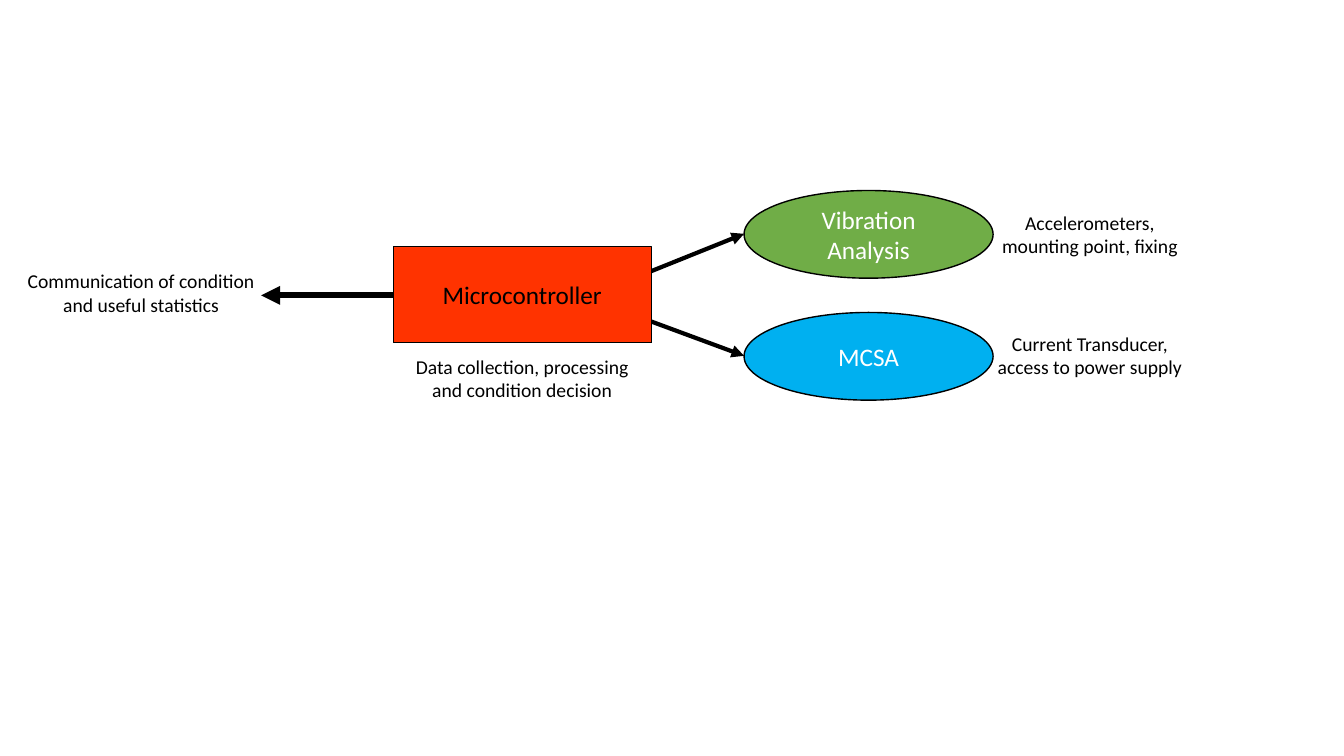
from dataclasses import dataclass

from lxml import etree
from pptx import Presentation
from pptx.dml.color import RGBColor
from pptx.enum.shapes import MSO_CONNECTOR, MSO_SHAPE
from pptx.enum.text import MSO_ANCHOR, MSO_AUTO_SIZE, PP_ALIGN
from pptx.oxml.ns import qn
from pptx.slide import Slide
from pptx.text.text import TextFrame
from pptx.util import Inches, Pt

BLACK = RGBColor(0x00, 0x00, 0x00)
WHITE = RGBColor(0xFF, 0xFF, 0xFF)
RED = RGBColor(0xFF, 0x33, 0x00)
GREEN = RGBColor(0x70, 0xAD, 0x47)
BLUE = RGBColor(0x00, 0xB0, 0xF0)

STRAIGHT = MSO_CONNECTOR.STRAIGHT
CUBE, OVAL = MSO_SHAPE.CUBE, MSO_SHAPE.OVAL
CENTER = PP_ALIGN.CENTER
TOP, MIDDLE = MSO_ANCHOR.TOP, MSO_ANCHOR.MIDDLE
GROW = MSO_AUTO_SIZE.SHAPE_TO_FIT_TEXT

FONT_NAME = "Calibri"
BLANK_LAYOUT = 6


@dataclass(frozen=True)
class Node:
    text: str
    kind: MSO_SHAPE
    left: float
    top: float
    width: float
    height: float
    fill: RGBColor
    text_color: RGBColor
    line_width: float = 1
    wrap: bool = True


@dataclass(frozen=True)
class Caption:
    text: str
    left: float
    top: float
    width: float
    height: float = 0.57


@dataclass(frozen=True)
class Arrow:
    start: tuple[float, float]
    end: tuple[float, float]
    line_width: float = 3


CONTROLLER = Node("Microcontroller", CUBE, 3.9, 2.45, 2.56, 0.95, RED, BLACK, 0.75, False)
VIBRATION = Node("Vibration Analysis", OVAL, 7.38, 1.89, 2.47, 0.87, GREEN, WHITE)
MCSA = Node("MCSA", OVAL, 7.38, 3.1, 2.47, 0.87, BLUE, WHITE)

CAPTIONS = [
    Caption("Data collection, processing and condition decision", 3.9, 3.47, 2.56),
    Caption("Accelerometers, mounting point, fixing", 9.72, 2.04, 2.18),
    Caption("Current Transducer, access to power supply", 9.72, 3.24, 2.18),
    Caption("Communication of condition and useful statistics", 0.12, 2.62, 2.56),
]

ARROWS = [
    Arrow((6.46, 2.69), (7.38, 2.32)),
    Arrow((6.46, 3.19), (7.38, 3.53)),
    Arrow((3.9, 2.93), (2.59, 2.93), 4.5),
]


def write_text(frame: TextFrame, text: str, size: int, color: RGBColor,
               anchor: MSO_ANCHOR, wrap: bool = True) -> None:
    frame.word_wrap = wrap
    frame.vertical_anchor = anchor
    paragraph = frame.paragraphs[0]
    paragraph.alignment = CENTER
    run = paragraph.add_run()
    run.text = text
    for name, value in {"name": FONT_NAME, "size": Pt(size)}.items():
        setattr(run.font, name, value)
    run.font.color.rgb = color


def draw_node(slide: Slide, node: Node) -> None:
    shape = slide.shapes.add_shape(
        node.kind, Inches(node.left), Inches(node.top), Inches(node.width), Inches(node.height))
    shape.shadow.inherit = False
    if node.kind == CUBE:
        shape.adjustments[0] = 0
    shape.fill.solid()
    shape.fill.fore_color.rgb = node.fill
    shape.line.color.rgb = BLACK
    shape.line.width = Pt(node.line_width)
    write_text(shape.text_frame, node.text, 18, node.text_color, MIDDLE, node.wrap)


def draw_caption(slide: Slide, caption: Caption) -> None:
    box = slide.shapes.add_textbox(
        Inches(caption.left), Inches(caption.top), Inches(caption.width), Inches(caption.height))
    write_text(box.text_frame, caption.text, 14, BLACK, TOP)
    box.text_frame.auto_size = GROW


def draw_arrow(slide: Slide, arrow: Arrow) -> None:
    points = [Inches(value) for value in (*arrow.start, *arrow.end)]
    connector = slide.shapes.add_connector(STRAIGHT, *points)
    connector.line.color.rgb = BLACK
    connector.line.width = Pt(arrow.line_width)
    # Arrowhead at the end point, and no theme shadow
    etree.SubElement(connector.line._get_or_add_ln(), qn("a:tailEnd"), type="triangle")
    etree.SubElement(connector._element.spPr, qn("a:effectLst"))


def main() -> None:
    presentation = Presentation()
    presentation.slide_width = Inches(13.33)
    presentation.slide_height = Inches(7.5)
    slide = presentation.slides.add_slide(presentation.slide_layouts[BLANK_LAYOUT])

    # Sensing methods and the arrows, with the controller above the arrow ends
    for node in (VIBRATION, MCSA):
        draw_node(slide, node)
    for arrow in ARROWS:
        draw_arrow(slide, arrow)
    draw_node(slide, CONTROLLER)

    # Explanations beside the nodes
    for caption in CAPTIONS:
        draw_caption(slide, caption)

    presentation.save("out.pptx")


if __name__ == "__main__":
    main()
